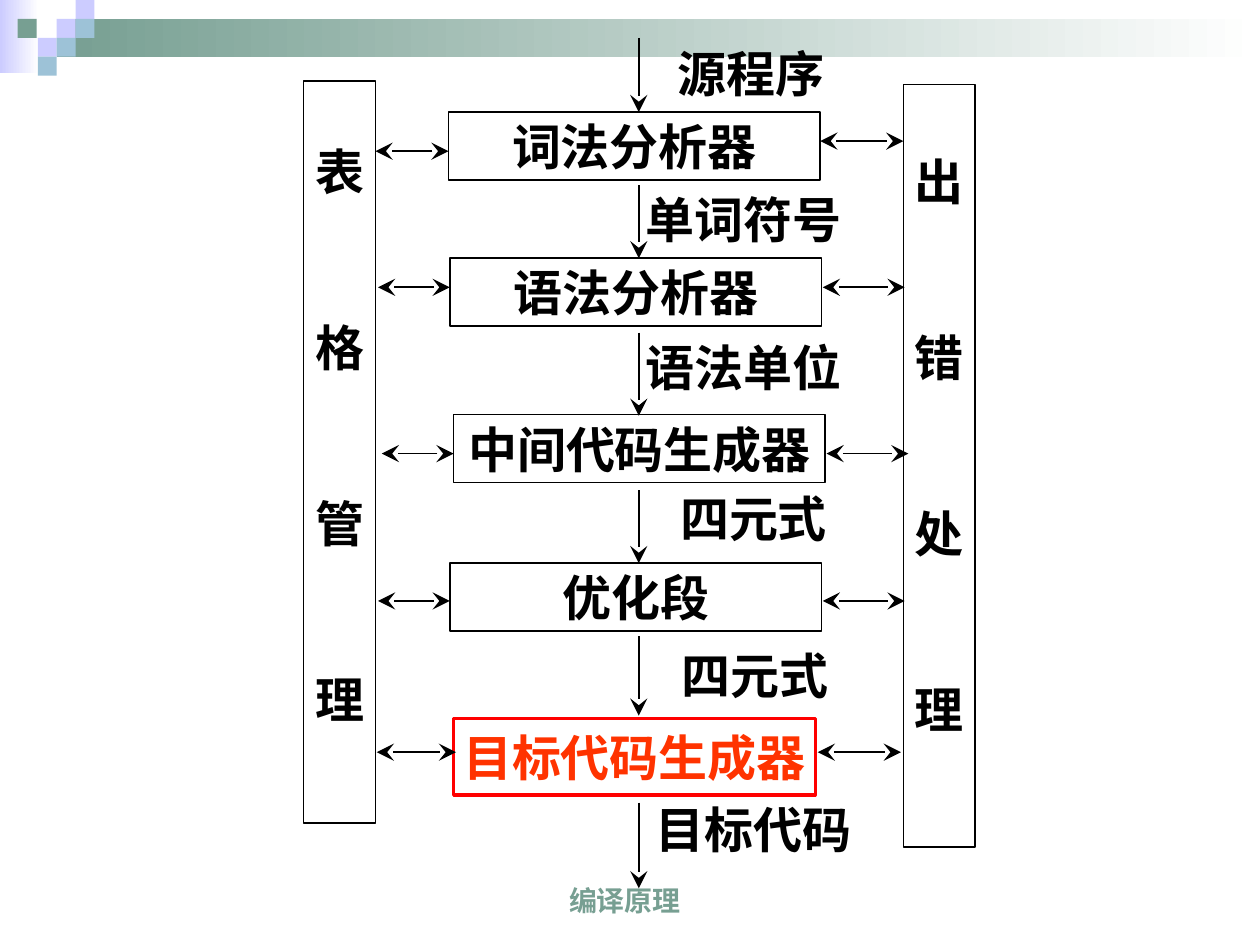
from lxml import etree
from pptx import Presentation
from pptx.dml.color import RGBColor
from pptx.enum.shapes import MSO_CONNECTOR, MSO_SHAPE
from pptx.enum.text import MSO_ANCHOR, PP_ALIGN
from pptx.oxml.ns import qn
from pptx.util import Inches, Pt

RECTANGLE, STRAIGHT = MSO_SHAPE.RECTANGLE, MSO_CONNECTOR.STRAIGHT
CENTER = PP_ALIGN.CENTER
TOP, MIDDLE, BOTTOM = MSO_ANCHOR.TOP, MSO_ANCHOR.MIDDLE, MSO_ANCHOR.BOTTOM

BLACK = RGBColor(0x00, 0x00, 0x00)
WHITE = RGBColor(0xFF, 0xFF, 0xFF)
RED = RGBColor(0xFF, 0x00, 0x00)
ORANGE_RED = RGBColor(0xFF, 0x33, 0x00)
GREEN = RGBColor(0x77, 0x9F, 0x92)
LILAC = RGBColor(0xCC, 0xCC, 0xFF)
SKY = RGBColor(0x9D, 0xC2, 0xD7)

SERIF, SANS, CJK = "Times New Roman", "Arial", "Noto Sans CJK SC"

# Phases of the compiler: text, box, font, text colour, line colour, line width, side inset
PHASES = [
    ("词法分析器", (3.56, 0.89, 2.95, 0.54), SERIF, BLACK, BLACK, 1, 0.1),
    ("语法分析器", (3.57, 2.05, 2.95, 0.54), SERIF, BLACK, BLACK, 1, 0.1),
    ("中间代码生成器", (3.6, 3.29, 2.95, 0.54), CJK, BLACK, BLACK, 1, 0.1),
    ("优化段", (3.57, 4.47, 2.95, 0.54), CJK, BLACK, BLACK, 1, 0.1),
    ("目标代码生成器", (3.6, 5.7, 2.87, 0.61), CJK, ORANGE_RED, RED, 1.75, 0.02),
]

# Data passed between phases: text, label box, arrow start and end heights
FLOWS = [
    ("源程序", (5.24, 0.39, 1.44, 0.38), 0.3, 0.89),
    ("单词符号", (5.09, 1.55, 1.62, 0.38), 1.47, 2.05),
    ("语法单位", (5.09, 2.72, 1.62, 0.38), 2.64, 3.3),
    ("四元式", (5.24, 3.94, 1.48, 0.34), 3.89, 4.47),
    ("四元式", (5.26, 5.18, 1.46, 0.35), 5.05, 5.68),
    ("目标代码", (5.17, 6.39, 1.62, 0.38), 6.37, 7.05),
]
FLOW_X = 5.07

# Side columns: characters, box, top inset
COLUMNS = [
    ("表格管理", (2.41, 0.64, 0.57, 5.89), 0.48),
    ("出错处理", (7.17, 0.67, 0.57, 6.05), 0.53),
]
COLUMN_GAP = 67

# Two-way links between phases and columns: from x, to x, y
LINKS = [
    (3.56, 2.98, 1.2), (3.57, 3, 2.28), (3.6, 3.03, 3.6), (3.57, 3, 4.77), (3.62, 2.99, 5.97),
    (6.51, 7.17, 1.12), (6.53, 7.18, 2.28), (6.56, 7.21, 3.6), (6.53, 7.18, 4.77), (6.49, 7.15, 5.97),
]

# Corner decoration: gradient bands, then small squares as left, top, colour
BANDS = [((0, 0, 0.31, 0.58), LILAC), ((0.45, 0.15, 9.55, 0.3), GREEN)]
SQUARES = [
    (0.45, 0.15, LILAC), (0.6, 0, LILAC), (0.6, 0.15, SKY), (0.3, 0.3, LILAC),
    (0.14, 0.15, GREEN), (0.45, 0.3, SKY), (0.3, 0.45, SKY),
]
SQUARE_SIZE = 0.15


def add_rectangle(slide, box):
    shape = slide.shapes.add_shape(RECTANGLE, *map(Inches, box))
    shape.shadow.inherit = False
    shape.line.fill.background()
    return shape


def outline(shape, color, width):
    shape.fill.background()
    shape.line.color.rgb = color
    shape.line.width = Pt(width)


def write(shape, lines, font_name=SERIF, size=28, color=BLACK, anchor=MIDDLE,
          side=0.1, top=0.05, gap=0):
    frame = shape.text_frame
    frame.word_wrap = True
    frame.vertical_anchor = anchor
    frame.margin_left = frame.margin_right = Inches(side)
    frame.margin_top, frame.margin_bottom = Inches(top), Inches(0.05)
    frame.text = "\n".join(lines)
    for paragraph in frame.paragraphs:
        paragraph.alignment = CENTER
        paragraph.space_after = Pt(gap)
        paragraph.font.name = font_name
        paragraph.font.size = Pt(size)
        paragraph.font.bold = True
        paragraph.font.color.rgb = color


def add_arrow(slide, start, end, ends=("tailEnd",)):
    arrow = slide.shapes.add_connector(STRAIGHT, *map(Inches, start + end))
    arrow.line.color.rgb = BLACK
    arrow.line.width = Pt(1)
    line = arrow.line._get_or_add_ln()
    for name in ends:
        etree.SubElement(line, qn(f"a:{name}"), type="stealth", w="lg", len="lg")
    etree.SubElement(arrow._element.spPr, qn("a:effectLst"))


def add_decoration(slide):
    for box, color in BANDS:
        fill = add_rectangle(slide, box).fill
        fill.gradient()
        fill.gradient_angle = 0
        for stop, stop_color in zip(fill.gradient_stops, (color, WHITE)):
            stop.color.rgb = stop_color
    for left, top, color in SQUARES:
        square = add_rectangle(slide, (left, top, SQUARE_SIZE, SQUARE_SIZE))
        square.fill.solid()
        square.fill.fore_color.rgb = color


def main():
    presentation = Presentation()
    presentation.slide_width, presentation.slide_height = Inches(10), Inches(7.5)
    slide = presentation.slides.add_slide(presentation.slide_layouts[6])
    add_decoration(slide)

    # Footer
    footer = slide.shapes.add_textbox(*map(Inches, (3.19, 6.83, 3.54, 0.5)))
    write(footer, ["编译原理"], SANS, 16, GREEN, BOTTOM)

    # Phase boxes
    for text, box, font_name, color, line_color, width, side in PHASES:
        phase = add_rectangle(slide, box)
        outline(phase, line_color, width)
        write(phase, [text], font_name, color=color, side=side)

    # Side columns, one character per paragraph
    for characters, box, top in COLUMNS:
        column = add_rectangle(slide, box)
        outline(column, BLACK, 1)
        write(column, characters, anchor=TOP, side=0.05, top=top, gap=COLUMN_GAP)

    # Data flow downwards
    for text, box, start_y, end_y in FLOWS:
        label = slide.shapes.add_textbox(*map(Inches, box))
        write(label, [text], side=0)
        add_arrow(slide, (FLOW_X, start_y), (FLOW_X, end_y))

    # Links to the columns
    for start_x, end_x, y in LINKS:
        add_arrow(slide, (start_x, y), (end_x, y), ("headEnd", "tailEnd"))

    presentation.save("out.pptx")


if __name__ == "__main__":
    main()
